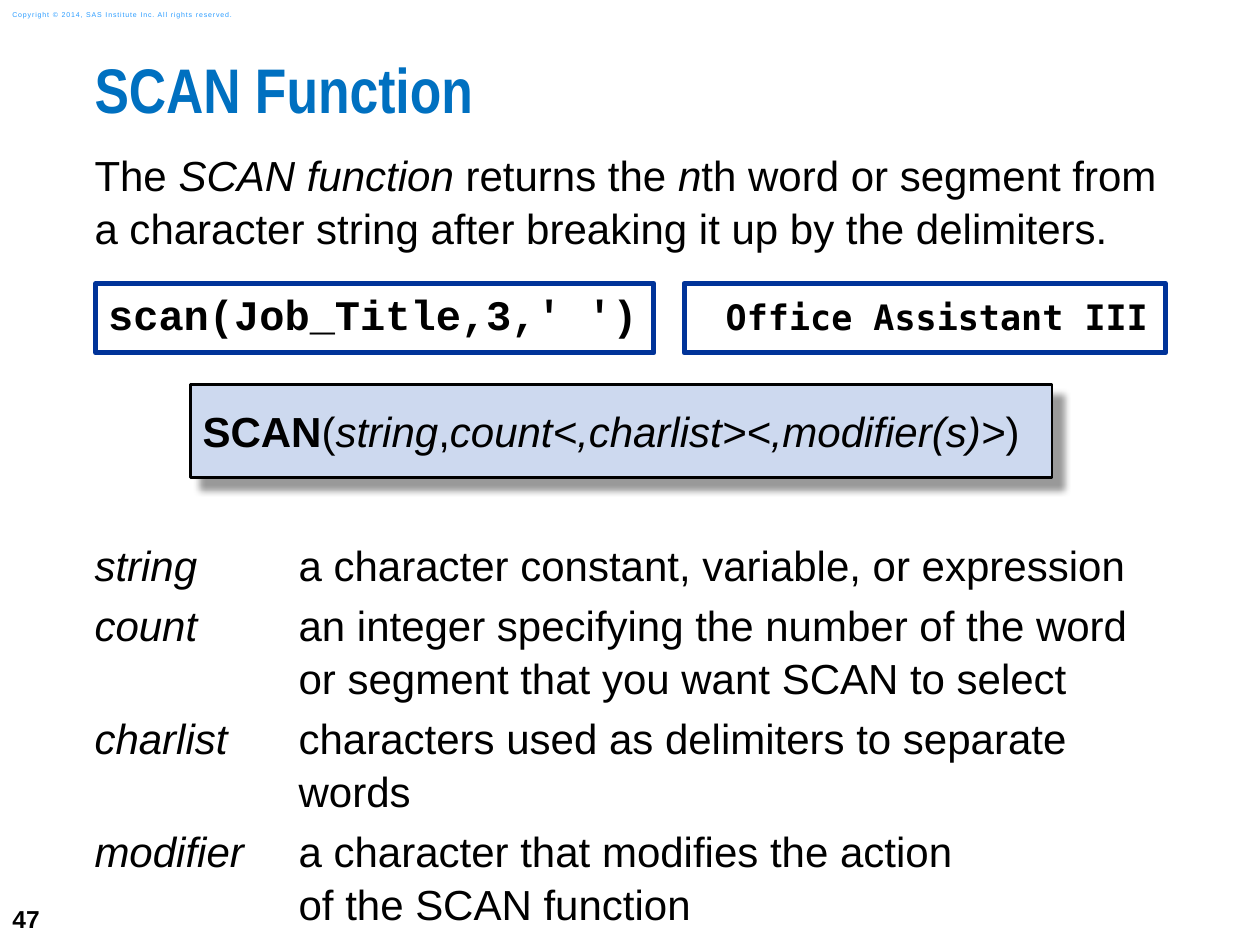
from dataclasses import dataclass

import pptx
import pptx.dml.color
import pptx.enum.shapes
import pptx.enum.text
import pptx.oxml
import pptx.oxml.ns
import pptx.util

RGBColor = pptx.dml.color.RGBColor
BLACK = RGBColor(0x00, 0x00, 0x00)
WHITE = RGBColor(0xFF, 0xFF, 0xFF)
TITLE_BLUE = RGBColor(0x00, 0x70, 0xC0)
COPYRIGHT_BLUE = RGBColor(0x2A, 0x9C, 0xFF)
BORDER_BLUE = RGBColor(0x00, 0x33, 0x99)
SYNTAX_FILL = RGBColor(0xCD, 0xD9, 0xEF)

COLUMNS, ROWS = 100, 75
LEFT = 7.5
BODY_WIDTH = 85.8
TERM_WIDTH = 16.2
CODE_TOP, CODE_HEIGHT = 22.5, 5.5

prs = pptx.Presentation()
prs.slide_width = pptx.util.Inches(10)
prs.slide_height = pptx.util.Inches(7.5)
s = prs.slides.add_slide(prs.slide_layouts[6])


@dataclass(frozen=True)
class Area:
    col: float
    row: float
    cols: float
    rows: float

    def emu(self) -> tuple[int, int, int, int]:
        return across(self.col), down(self.row), across(self.cols), down(self.rows)


@dataclass(frozen=True)
class Run:
    text: str
    italic: bool = False
    bold: bool = False


@dataclass(frozen=True)
class Panel:
    area: Area
    fill: RGBColor
    line: RGBColor
    weight: float


@dataclass(frozen=True)
class Definition:
    term: str
    meaning: str


def across(cols: float) -> int:
    return round(prs.slide_width * cols / COLUMNS)


def down(rows: float) -> int:
    return round(prs.slide_height * rows / ROWS)


def write(sp, paragraphs: list[list[Run]], *, size: float = 24, font: str = "Arial",
          color: RGBColor = BLACK, insets: tuple = (0, 0, 0, 0), spacing: float = 1,
          after: float = 0, hanging: float = 0, tracking: int = 0,
          middle: bool = False) -> None:
    tf = sp.text_frame
    tf.word_wrap = True
    anchor = pptx.enum.text.MSO_ANCHOR
    tf.vertical_anchor = anchor.MIDDLE if middle else anchor.TOP
    tf.margin_left, tf.margin_right = across(insets[0]), across(insets[2])
    tf.margin_top, tf.margin_bottom = down(insets[1]), down(insets[3])
    for i, runs in enumerate(paragraphs):
        p = tf.add_paragraph() if i else tf.paragraphs[0]
        p.alignment = pptx.enum.text.PP_ALIGN.LEFT
        p.line_spacing = spacing
        p.space_after = pptx.util.Pt(after)
        if hanging:
            pPr = p._p.get_or_add_pPr()
            pPr.set("marL", str(across(hanging)))
            pPr.set("indent", str(-across(hanging)))
        for run in runs:
            for j, line in enumerate(run.text.split("\n")):
                if j:
                    p.add_line_break()
                r = p.add_run()
                r.text = line
                r.font.name = font
                r.font.size = pptx.util.Pt(size)
                r.font.bold = run.bold
                r.font.italic = run.italic
                r.font.color.rgb = color
                if tracking:
                    r._r.get_or_add_rPr().set("spc", str(tracking))


def add_text(area: Area, paragraphs: list[list[Run]], **style) -> None:
    write(s.shapes.add_textbox(*area.emu()), paragraphs, **style)


def add_panel(panel: Panel, runs: list[Run], **style):
    sp = s.shapes.add_shape(pptx.enum.shapes.MSO_SHAPE.RECTANGLE, *panel.area.emu())
    sp.shadow.inherit = False
    sp.fill.solid()
    sp.fill.fore_color.rgb = panel.fill
    sp.line.color.rgb = panel.line
    sp.line.width = pptx.util.Pt(panel.weight)
    write(sp, [runs], **style)
    return sp


def add_shadow(sp, blur: float, distance: float, degrees: int, opacity: int) -> None:
    effects = sp._element.spPr.find(pptx.oxml.ns.qn("a:effectLst"))
    effects.append(pptx.oxml.parse_xml(
        f'<a:outerShdw {pptx.oxml.ns.nsdecls("a")} blurRad="{pptx.util.Pt(blur)}" '
        f'dist="{pptx.util.Pt(distance)}" dir="{degrees * 60000}" algn="tl" rotWithShape="0">'
        f'<a:srgbClr val="{BLACK}"><a:alpha val="{opacity * 1000}"/></a:srgbClr>'
        '</a:outerShdw>'))


INTRO = [
    Run("The "),
    Run("SCAN function", italic=True),
    Run(" returns the "),
    Run("n", italic=True),
    Run("th word or segment from a character string after breaking it up by the delimiters."),
]
SYNTAX = [
    Run("SCAN", bold=True),
    Run("("),
    Run("string", italic=True),
    Run(","),
    Run("count<,charlist><,modifier(s)>", italic=True),
    Run(")"),
]
DEFINITIONS = [
    Definition("string", "a character constant, variable, or expression"),
    Definition("count", "an integer specifying the number of the word "
                        "or segment that you want SCAN to select"),
    Definition("charlist", "characters used as delimiters to separate words"),
    Definition("modifier", "a character that modifies the action\nof the SCAN function"),
]

add_text(Area(0, 70.8, 5.8, 4.2), [[Run("47", bold=True)]],
         size=14, insets=(1, 0.5, 1, 0.5), middle=True)
add_text(Area(0, 0.3, 21.1, 1.7),
         [[Run("Copyright © 2014, SAS Institute Inc. All rights reserved.")]],
         size=4, color=COPYRIGHT_BLUE, insets=(1, 0.5, 0, 0.5), tracking=50, middle=True)
add_text(Area(LEFT, 5, 92.5, 7.4), [[Run("SCAN Function", bold=True)]],
         size=36, font="Arial Narrow", color=TITLE_BLUE, spacing=0.83)
add_text(Area(LEFT, 11.7, BODY_WIDTH, 8.5), [INTRO], spacing=1.05)
add_text(Area(LEFT, 42.6, BODY_WIDTH, 30),
         [[Run(d.term + "\t", italic=True), Run(d.meaning)] for d in DEFINITIONS],
         spacing=1.05, after=4.2, hanging=TERM_WIDTH)

syntax = add_panel(Panel(Area(15.1, 30.5, 68.4, 7.4), SYNTAX_FILL, BLACK, 1.5),
                   SYNTAX, insets=(1, 1.7, 0, 1.7))
add_shadow(syntax, blur=4, distance=8.5, degrees=45, opacity=40)
add_panel(Panel(Area(7.6, CODE_TOP, 44.3, CODE_HEIGHT), WHITE, BORDER_BLUE, 3),
          [Run("scan(Job_Title,3,' ')", bold=True)],
          font="Courier New", insets=(1, 1, 0, 1), spacing=0.85)
add_panel(Panel(Area(54.3, CODE_TOP, 38.2, CODE_HEIGHT), WHITE, BORDER_BLUE, 3),
          [Run("Office Assistant III", bold=True)],
          size=20, font="DejaVu Sans Mono", insets=(3.3, 1.6, 0, 0.6), spacing=0.8)

prs.save("out.pptx")
